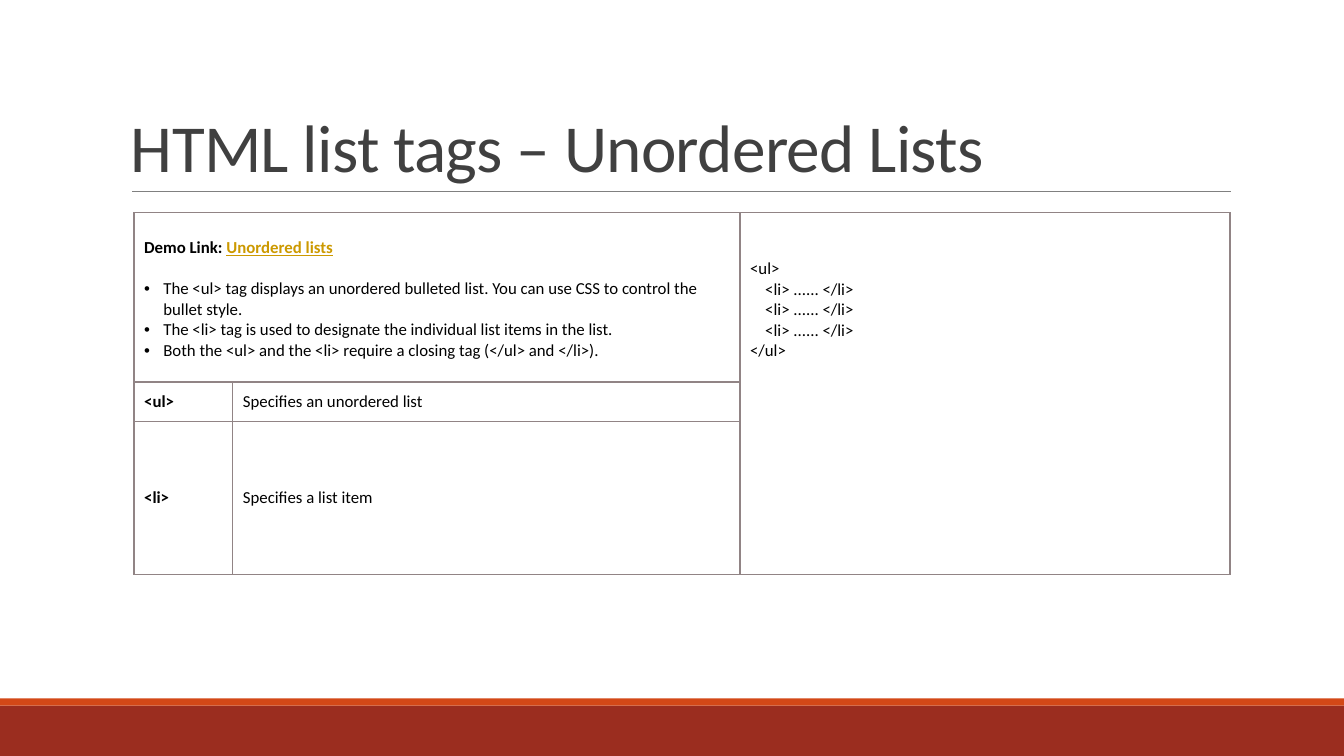
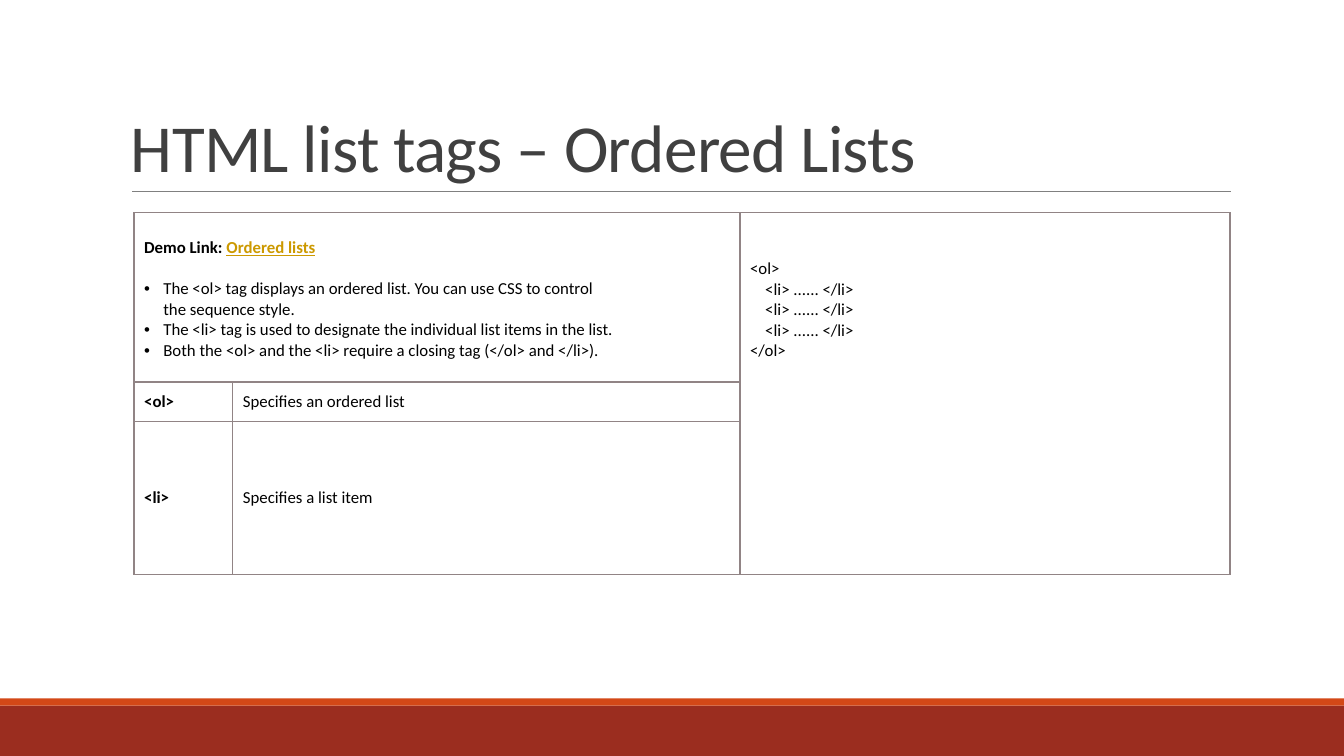
from lxml.etree import SubElement
from pptx import Presentation
from pptx.dml.color import RGBColor
from pptx.enum.shapes import MSO_CONNECTOR as Line, MSO_SHAPE as Shape
from pptx.enum.text import MSO_ANCHOR as Anchor
from pptx.oxml.ns import qn
from pptx.util import Inches, Pt

LISTS = [
    {
        "kind": "Unordered",
        "tag": "ul",
        "about": ["The <ul> tag displays an unordered bulleted list. "
                  "You can use CSS to control the bullet style."],
    },
    {
        "kind": "Ordered",
        "tag": "ol",
        "about": ["The <ol> tag displays an ordered list. You can use CSS to control",
                  "the sequence style."],
    },
]
ITEM = "<li> ...... </li>"
FONT = "Calibri"
BLACK, GREY, GOLD = "000000", "404040", "CC9900"
RULE, BORDER = "808080", "918485"
BANDS = [(7, 0.5, "9B2D1F"), (6.93, 0.07, "D34817")]
COLS = [0.98, 5.03, 4.86]
ROWS = [1.68, 0.39, 1.52]
LEFT, TOP = 1.33, 2.11
GAP = 14.65


def paint(text):
    return RGBColor.from_string(text)


def write(para, text, size=12, color=BLACK, bold=False, under=False):
    run = para.add_run()
    run.text = text
    font = run.font
    font.name, font.size = FONT, Pt(size)
    font.bold, font.underline = bold, under
    font.color.rgb = paint(color)
    return run


def indent(para, left, hang=0):
    props = para._p.get_or_add_pPr()
    props.set("marL", str(Inches(left)))
    props.set("indent", str(-Inches(hang)))
    return props


def bullet(para, lines):
    props = indent(para, 0.19, 0.19)
    SubElement(props, qn("a:buFont")).set("typeface", "Arial")
    SubElement(props, qn("a:buChar")).set("char", "•")
    for num, line in enumerate(lines):
        if num:
            para.add_line_break()
        write(para, line)


def outline(cell):
    props = cell._tc.get_or_add_tcPr()
    for side in ("lnL", "lnR", "lnT", "lnB"):
        edge = SubElement(props, qn("a:" + side), w=str(Pt(1)))
        fill = SubElement(edge, qn("a:solidFill"))
        SubElement(fill, qn("a:srgbClr")).set("val", BORDER)


def frame(slide, title):
    for top, high, color in BANDS:
        band = slide.shapes.add_shape(
            Shape.RECTANGLE, 0, Inches(top), Inches(13.33), Inches(high))
        band.shadow.inherit = False
        band.fill.solid()
        band.fill.fore_color.rgb = paint(color)
        band.line.fill.background()
    rule = slide.shapes.add_connector(
        Line.STRAIGHT, Inches(1.31), Inches(1.9), Inches(12.21), Inches(1.9))
    rule.line.color.rgb = paint(RULE)
    rule.line.width = Pt(0.5)
    SubElement(rule._element.spPr, qn("a:effectLst"))
    box = slide.shapes.add_textbox(
        Inches(1.2), Inches(0.31), Inches(11), Inches(1.59)).text_frame
    box.word_wrap = True
    box.vertical_anchor = Anchor.BOTTOM
    para = box.paragraphs[0]
    para.line_spacing = 0.85
    run = write(para, title, 48, GREY)
    run.font._element.set("spc", "-50")


def add_grid(slide):
    grid = slide.shapes.add_table(
        len(ROWS), len(COLS), Inches(LEFT), Inches(TOP),
        Inches(sum(COLS)), Inches(sum(ROWS))).table
    grid.first_row = grid.horz_banding = False
    for col, wide in zip(grid.columns, COLS):
        col.width = Inches(wide)
    for row, high in zip(grid.rows, ROWS):
        row.height = Inches(high)
    for cell in grid.iter_cells():
        outline(cell)
        cell.fill.background()
    grid.cell(0, 0).merge(grid.cell(0, 1))
    grid.cell(0, 2).merge(grid.cell(2, 2))
    return grid


def fill_notes(cell, kind, tag, about):
    cell.margin_top = Inches(0.25)
    text = cell.text_frame
    para = text.paragraphs[0]
    write(para, "Demo Link: ", bold=True)
    write(para, f"{kind} lists", color=GOLD, bold=True, under=True)
    points = [
        about,
        ["The <li> tag is used to designate the individual list items in the list."],
        [f"Both the <{tag}> and the <li> require a closing tag (</{tag}> and </li>)."],
    ]
    for num, lines in enumerate(points):
        para = text.add_paragraph()
        para.space_before = Pt(0 if num else GAP)
        bullet(para, lines)


def fill_code(cell, tag):
    cell.margin_top = Inches(0.46)
    text = cell.text_frame
    write(text.paragraphs[0], f"<{tag}>")
    for line in [ITEM] * 3 + [f"</{tag}>"]:
        para = text.add_paragraph()
        if line == ITEM:
            indent(para, 0.15)
        write(para, line)


def fill_terms(grid, kind, tag):
    terms = [(tag, f"an {kind.lower()} list"), ("li", "a list item")]
    for row, (name, sense) in enumerate(terms, 1):
        for col, text in enumerate((f"<{name}>", f"Specifies {sense}")):
            cell = grid.cell(row, col)
            cell.vertical_anchor = Anchor.MIDDLE
            write(cell.text_frame.paragraphs[0], text, bold=col == 0)


def main():
    """Build the slides on HTML list tags."""
    deck = Presentation()
    deck.slide_width, deck.slide_height = Inches(13.33), Inches(7.5)
    for data in LISTS:
        kind, tag = data["kind"], data["tag"]
        slide = deck.slides.add_slide(deck.slide_layouts[6])
        frame(slide, f"HTML list tags – {kind} Lists")
        grid = add_grid(slide)
        fill_notes(grid.cell(0, 0), kind, tag, data["about"])
        fill_code(grid.cell(0, 2), tag)
        fill_terms(grid, kind, tag)
    deck.save("out.pptx")


if __name__ == "__main__":
    main()
